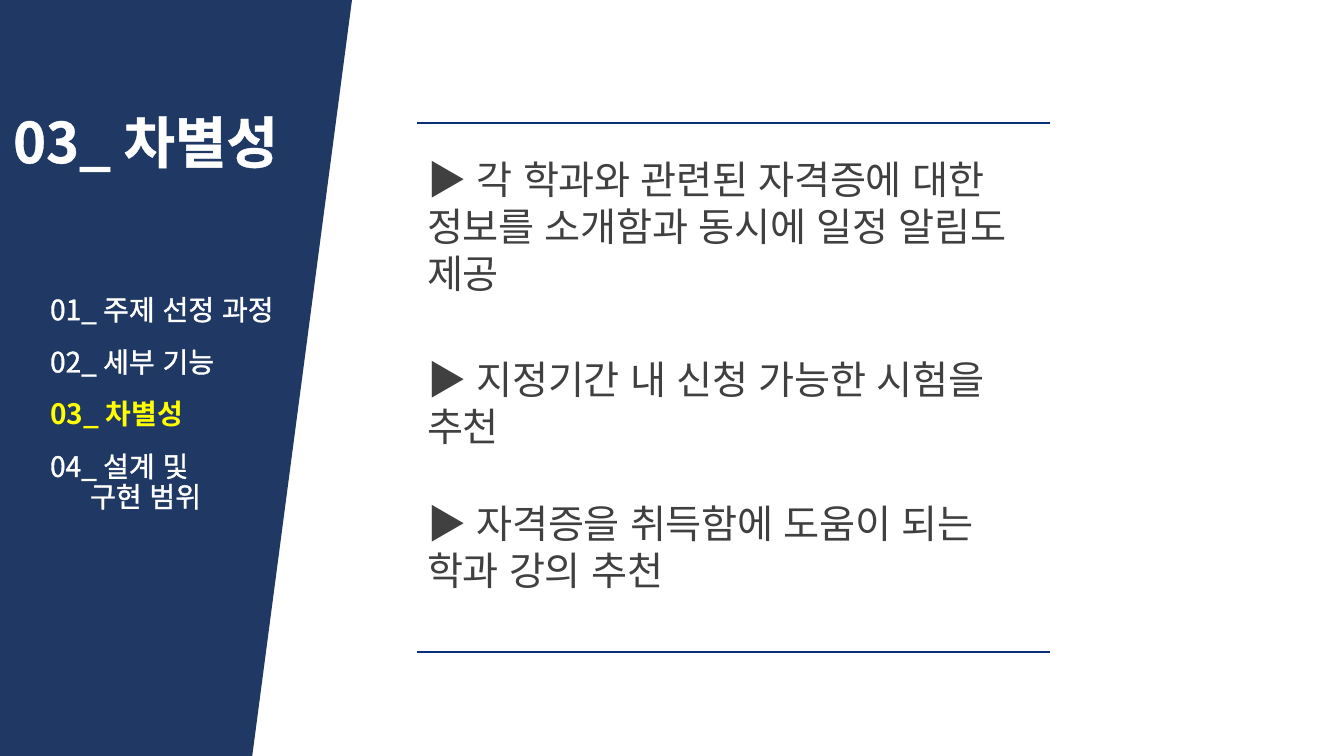
from lxml import etree
from pptx import Presentation, util as u
from pptx.dml.color import RGBColor
from pptx.enum import lang, shapes, text
from pptx.oxml.ns import qn

PX = 9071  # EMU per px
FONT = "Noto Sans CJK KR"
COLORS = {"navy": "203864", "rule": "093079", "white": "FFFFFF",
          "current": "FFFF00", "body": "404040"}


def rgb(name):
    return RGBColor.from_string(COLORS[name])


def fill_text(holder, box, lines, size, color, outline_alpha=100, line_spacing=1.0,
              gaps=(0,), hanging=0):
    """Place a placeholder and write its lines, with a gap in px above each."""
    holder.left, holder.top, holder.width, holder.height = [v * PX for v in box]
    frame = holder.text_frame
    frame.word_wrap = True
    frame.auto_size = text.MSO_AUTO_SIZE.NONE
    frame.text = "\n".join(lines)
    for paragraph, gap in zip(frame.paragraphs, gaps):
        paragraph.alignment = text.PP_ALIGN.LEFT
        paragraph.line_spacing = line_spacing
        paragraph.space_before = u.Emu(gap * PX)
        props = paragraph._p.get_or_add_pPr()
        props.set("marL", str(hanging * PX))
        props.set("indent", str(-hanging * PX))
        etree.SubElement(props, qn("a:buNone"))
        for run in paragraph.runs:
            run.font.size = u.Pt(size)
            run.font.name = FONT
            run.font.language_id = lang.MSO_LANGUAGE_ID.KOREAN
            run.font.color.rgb = rgb(color)
            r_props = run.font._element
            etree.SubElement(r_props, qn("a:ea"), typeface=FONT)
            # Thin outline around the letters
            outline = etree.Element(qn("a:ln"), w=str(u.Pt(0.75)))
            solid = etree.SubElement(outline, qn("a:solidFill"))
            tint = etree.SubElement(solid, qn("a:srgbClr"), val=COLORS[color])
            etree.SubElement(tint, qn("a:alpha"), val=str(outline_alpha * 1000))
            r_props.insert(0, outline)
    return frame


prs = Presentation()
prs.slide_width, prs.slide_height = 1344 * PX, 756 * PX
slide = prs.slides.add_slide(prs.slide_layouts[3])
title, menu, points = slide.placeholders

# Slanted side panel, behind the text
builder = slide.shapes.build_freeform(0, 0, scale=PX)
builder.add_line_segments([(352, 0), (252, 758), (0, 756)], close=True)
panel = builder.convert_to_shape()
panel.shadow.inherit = False
panel.fill.solid()
panel.fill.fore_color.rgb = rgb("navy")
panel.line.fill.background()
slide.shapes._spTree.insert(2, panel._element)

# Section title
heading = fill_text(title, (3, 60, 320, 170), ["03_ 차별성"], 40, "white",
                    line_spacing=0.9)
heading.vertical_anchor = text.MSO_ANCHOR.MIDDLE
heading.paragraphs[0].runs[0].font.bold = True

# Table of contents, with the current section highlighted
sections = ["01_ 주제 선정 과정", "02_ 세부 기능", "03_ 차별성", "04_ 설계 및\v구현 범위"]
contents = fill_text(menu, (40, 291, 320, 230), sections, 20, "white",
                     line_spacing=0.9, gaps=(0, 22, 22, 22), hanging=40)
current = contents.paragraphs[2].runs[0].font
current.bold = True
current.color.rgb = rgb("current")

# Distinguishing points
strengths = ["▶ 각 학과와 관련된 자격증에 대한 정보를 소개함과 동시에 일정 알림도 제공",
             "▶ 지정기간 내 신청 가능한 시험을 추천",
             "▶ 자격증을 취득함에 도움이 되는 학과 강의 추천"]
body = fill_text(points, (417, 150, 633, 449), strengths, 28, "body",
                 outline_alpha=30, gaps=(0, 59, 50))
for paragraph in body.paragraphs:
    paragraph.runs[0].font._element.set("spc", "-20")

# Rules above and below the points
for y in (123, 652):
    rule = slide.shapes.add_connector(shapes.MSO_CONNECTOR.STRAIGHT,
                                      417 * PX, y * PX, 1050 * PX, y * PX)
    rule.line.color.rgb = rgb("rule")
    rule.line.width = u.Pt(2)
    etree.SubElement(rule._element.spPr, qn("a:effectLst"))

prs.save("out.pptx")
